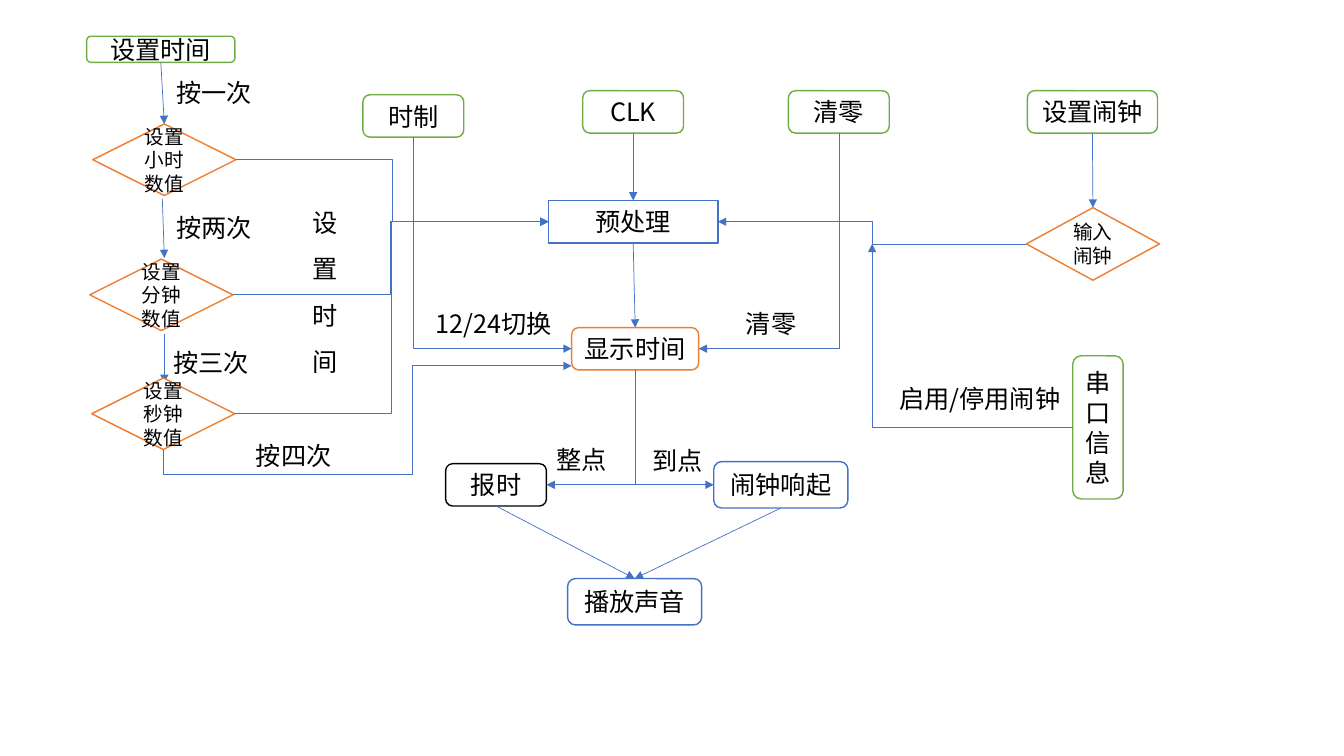
from pptx import Presentation
from pptx.dml.color import RGBColor
from pptx.enum.shapes import MSO_CONNECTOR as Link, MSO_SHAPE as Shape
from pptx.enum.text import MSO_ANCHOR as Anchor, PP_ALIGN as Align
from pptx.oxml.ns import qn
from pptx.util import Inches, Pt
from lxml.etree import SubElement

FONT = "Noto Sans CJK SC"
BLACK = RGBColor(0x00, 0x00, 0x00)
WHITE = RGBColor(0xFF, 0xFF, 0xFF)
GREEN = RGBColor(0x70, 0xAD, 0x47)
ORANGE = RGBColor(0xED, 0x7D, 0x31)
BLUE = RGBColor(0x44, 0x72, 0xC4)
TOP, LEFT, BOTTOM, RIGHT = range(4)
ROUND, RECT, DECISION = Shape.ROUNDED_RECTANGLE, Shape.RECTANGLE, Shape.FLOWCHART_DECISION

NODES = {
    "clock": ("CLK", ROUND, GREEN, 5.78, 0.9, 1, 0.42),
    "preprocess": ("预处理", RECT, BLUE, 5.44, 1.99, 1.68, 0.42),
    "display": ("显示时间", ROUND, ORANGE, 5.67, 3.25, 1.26, 0.42),
    "chime": ("报时", ROUND, BLACK, 4.42, 4.6, 1, 0.42),
    "reset": ("清零", ROUND, GREEN, 7.82, 0.9, 1, 0.42),
    "format": ("时制", ROUND, GREEN, 3.6, 0.94, 1, 0.42),
    "set_time": ("设置时间", ROUND, GREEN, 0.86, 0.36, 1.47, 0.26),
    "hour": ("设置小时数值", DECISION, ORANGE, 0.92, 1.23, 1.42, 0.71),
    "minute": ("设置分钟数值", DECISION, ORANGE, 0.89, 2.57, 1.42, 0.71),
    "second": ("设置秒钟数值", DECISION, ORANGE, 0.91, 3.75, 1.42, 0.71),
    "set_alarm": ("设置闹钟", ROUND, GREEN, 10.19, 0.9, 1.29, 0.42),
    "alarm_input": ("输入闹钟", DECISION, ORANGE, 10.18, 2.06, 1.32, 0.72),
    "alarm": ("闹钟响起", ROUND, BLUE, 7.08, 4.58, 1.33, 0.46),
    "sound": ("播放声音", ROUND, BLUE, 5.63, 5.74, 1.33, 0.46),
    "serial": ("串口信息", ROUND, GREEN, 10.64, 3.53, 0.5, 1.42),
}

LABELS = [
    ("整点", 5.16, 4.36, 1.21, Align.CENTER),
    ("清零", 7.3, 3.01, 0.89, Align.LEFT),
    ("12/24切换", 4.22, 3.01, 1.38, Align.LEFT),
    ("按一次", 1.65, 0.72, 1.11, Align.LEFT),
    ("按两次", 1.65, 2.06, 1.11, Align.LEFT),
    ("按三次", 1.62, 3.4, 1.11, Align.LEFT),
    ("按四次", 2.44, 4.32, 1.11, Align.LEFT),
    ("到点", 6.37, 4.37, 0.8, Align.LEFT),
    ("启用/停用闹钟", 8.82, 3.75, 1.82, Align.LEFT),
]

STEP_ARROWS = [((1.61, 1.97), (1.63, 2.56)), ((1.63, 3.31), (1.63, 3.8))]

STRAIGHT_ARROWS = [
    ("clock", "preprocess"),
    ("preprocess", "display"),
    ("set_time", "hour"),
    ("set_alarm", "alarm_input"),
    ("alarm", "sound"),
    ("chime", "sound"),
]

ELBOW_ARROWS = [
    (("hour", RIGHT), ("preprocess", LEFT)),
    (("minute", RIGHT), ("preprocess", LEFT)),
    (("second", RIGHT), ("preprocess", LEFT)),
    (("alarm_input", LEFT), ("preprocess", RIGHT)),
]

CORNER_ARROWS = [
    (("display", RIGHT), ("reset", BOTTOM)),
    (("display", LEFT), ("format", BOTTOM)),
    (("chime", RIGHT), ("display", BOTTOM)),
    (("alarm", LEFT), ("display", BOTTOM)),
]


def write_text(shape, text, size=18, align=Align.CENTER):
    shape.text_frame.word_wrap = True
    paragraph = shape.text_frame.paragraphs[0]
    paragraph.text = text
    paragraph.alignment = align
    font = paragraph.font
    font.name, font.size = FONT, Pt(size)
    font.color.rgb = BLACK
    east_asian = SubElement(paragraph._p.pPr.find(qn("a:defRPr")), qn("a:ea"))
    east_asian.set("typeface", FONT)
    return paragraph


def add_node(slide, text, kind, color, *box):
    shape = slide.shapes.add_shape(kind, *map(Inches, box))
    shape.shadow.inherit = False
    shape.fill.solid()
    shape.fill.fore_color.rgb = WHITE
    shape.line.color.rgb = color
    shape.line.width = Pt(1)
    shape.text_frame.vertical_anchor = Anchor.MIDDLE
    write_text(shape, text, 14 if kind == DECISION else 18)
    return shape


def add_label(slide, text, left, top, width, align, height=0.4):
    box = slide.shapes.add_textbox(*map(Inches, (left, top, width, height)))
    return box, write_text(box, text, align=align)


def add_vertical_label(slide, text, left, top, width, height):
    box, paragraph = add_label(slide, text, left, top, width, Align.LEFT, height)
    box.text_frame._txBody.bodyPr.set("vert", "eaVert")
    paragraph.runs[0]._r.get_or_add_rPr().set("spc", "1500")


def add_arrow(slide, nodes, start, end, kind=Link.STRAIGHT, arrow_end="tailEnd"):
    joined = [isinstance(place[0], str) for place in (start, end)]
    points = [(0, 0) if join else place for join, place in zip(joined, (start, end))]
    connector = slide.shapes.add_connector(kind, *map(Inches, points[0] + points[1]))
    if joined[0]:
        connector.begin_connect(nodes[start[0]], start[1])
    if joined[1]:
        connector.end_connect(nodes[end[0]], end[1])
    connector.line.color.rgb = BLUE
    connector.line.width = Pt(0.5)
    properties = connector._element.spPr
    SubElement(properties.find(qn("a:ln")), qn(f"a:{arrow_end}")).set("type", "triangle")
    SubElement(properties, qn("a:effectLst"))
    return connector


def bend(connector, preset, **adjustments):
    geometry = connector._element.spPr.find(qn("a:prstGeom"))
    geometry.set("prst", preset)
    values = geometry.find(qn("a:avLst"))
    for name, share in adjustments.items():
        guide = SubElement(values, qn("a:gd"))
        guide.set("name", name)
        guide.set("fmla", f"val {round(share * 100000)}")


def main():
    presentation = Presentation()
    presentation.slide_width, presentation.slide_height = Inches(13.33), Inches(7.5)
    slide = presentation.slides.add_slide(presentation.slide_layouts[6])

    for start, end in STEP_ARROWS:
        add_arrow(slide, {}, start, end)
    nodes = {name: add_node(slide, *node) for name, node in NODES.items()}
    for source, target in STRAIGHT_ARROWS:
        add_arrow(slide, nodes, (source, BOTTOM), (target, TOP))
    for start, end in ELBOW_ARROWS:
        add_arrow(slide, nodes, start, end, Link.ELBOW)
    for target, source in CORNER_ARROWS:
        bend(add_arrow(slide, nodes, target, source, Link.ELBOW, "headEnd"), "bentConnector2")

    serial_arrow = add_arrow(slide, nodes, ("serial", LEFT), (8.65, 2.42), Link.ELBOW)
    bend(serial_arrow, "bentConnector2")
    fourth_press = add_arrow(slide, nodes, (5.67, 3.63), ("second", BOTTOM), Link.ELBOW, "headEnd")
    bend(fourth_press, "bentConnector4", adj1=0.39, adj2=1.3)

    for label in LABELS:
        add_label(slide, *label)
    add_vertical_label(slide, "设置时间", 2.92, 1.99, 0.5, 2.19)
    presentation.save("out.pptx")


if __name__ == "__main__":
    main()
